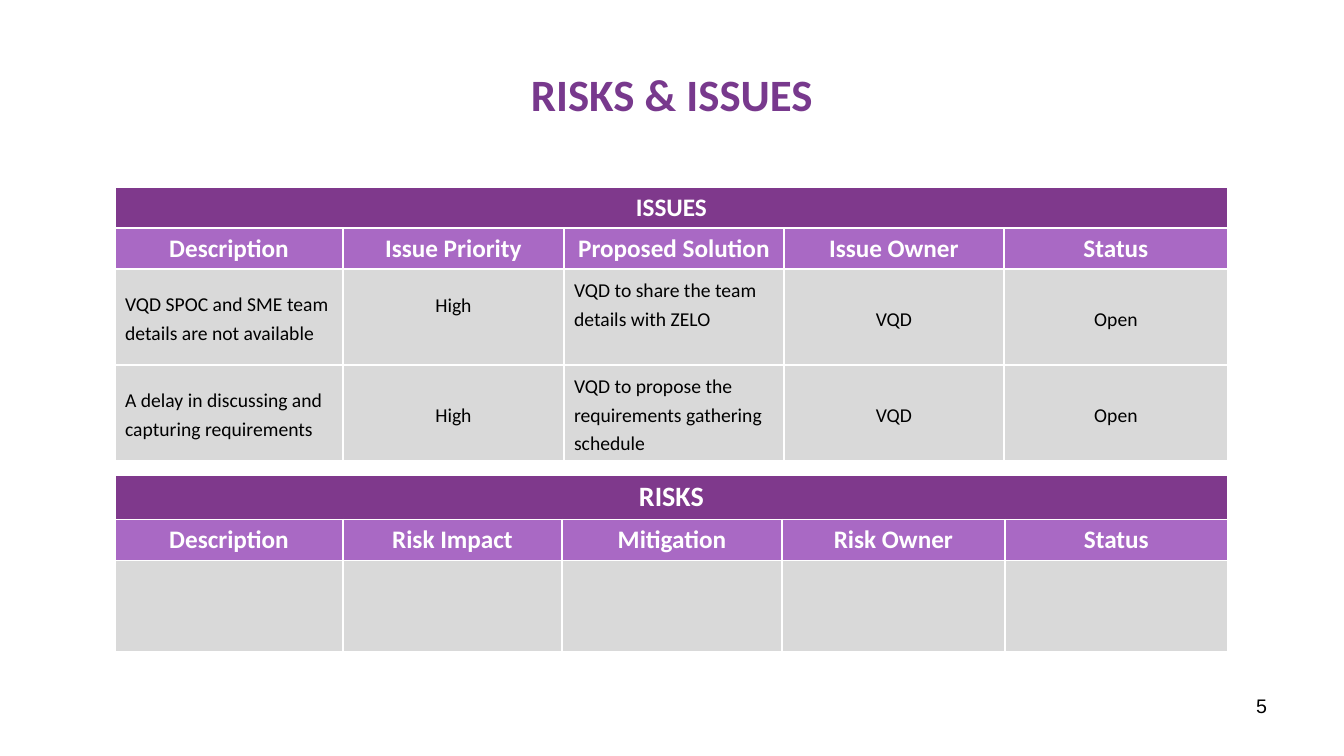
from dataclasses import dataclass

from lxml import etree
from pptx import Presentation, util as u
from pptx.dml.color import RGBColor
from pptx.enum import text
from pptx.oxml import ns

EMU_PER_PX = 9071
PURPLE, LILAC, GREY = "7F398C", "A969C4", "D9D9D9"
WHITE, BLACK, TITLE_COLOUR = "FFFFFF", "000000", "78398D"
LEFT, CENTRE, RIGHT = text.PP_ALIGN.LEFT, text.PP_ALIGN.CENTER, text.PP_ALIGN.RIGHT
BODY_ALIGNMENTS = [LEFT, CENTRE, LEFT, CENTRE, CENTRE]


@dataclass
class Register:
    """A titled table of issues or risks, with lengths in px."""

    heading: str
    heading_size: int
    top: int
    widths: list[int]
    heights: list[int]
    labels: list[str]
    entries: list[list[str]]
    raised_cells: tuple[tuple[int, int], ...] = ()


REGISTERS = [
    Register(
        "ISSUES", 18, 187, [228, 221, 220, 220, 224], [41, 41, 96, 96],
        ["Description", "Issue Priority", "Proposed Solution", "Issue Owner", "Status"],
        [
            ["VQD SPOC and SME team details are not available", "High",
             "VQD to share the team details with ZELO", "VQD", "Open"],
            ["A delay in discussing and capturing requirements", "High",
             "VQD to propose the requirements gathering schedule", "VQD", "Open"],
        ],
        raised_cells=((2, 1), (2, 2)),
    ),
    Register(
        "RISKS", 20, 475, [228, 219, 220, 223, 223], [44, 41, 91],
        ["Description", "Risk Impact", "Mitigation", "Risk Owner", "Status"],
        [[""] * 5],
    ),
]


def px(length: int) -> int:
    """Turn px into EMU."""
    return u.Emu(length * EMU_PER_PX)


def colour(value: str) -> RGBColor:
    """Turn a hex string into a colour."""
    return RGBColor.from_string(value)


def apply_format(target, values: dict) -> None:
    """Set each named attribute on the target."""
    for name, value in values.items():
        setattr(target, name, value)


def place(shape, left: int, top: int, width: int, height: int) -> None:
    """Move and size a shape."""
    apply_format(shape, {"left": px(left), "top": px(top),
                         "width": px(width), "height": px(height)})


def write(frame, words: str, size: int, hex_colour: str, alignment,
          bold: bool = False, font: str = "Calibri", spacing: float = 1.0) -> None:
    """Write one formatted paragraph into a text frame."""
    paragraph = frame.paragraphs[0]
    apply_format(paragraph, {"alignment": alignment, "line_spacing": spacing})
    run = paragraph.add_run()
    run.text = words
    apply_format(run.font, {"name": font, "size": u.Pt(size), "bold": bold})
    run.font.color.rgb = colour(hex_colour)


def style_cell(cell, fill: str) -> None:
    """Give a cell white borders and a solid fill."""
    properties = cell._tc.get_or_add_tcPr()
    for side in ("a:lnL", "a:lnR", "a:lnT", "a:lnB"):
        line = etree.SubElement(properties, ns.qn(side), w=str(u.Pt(1)))
        solid = etree.SubElement(line, ns.qn("a:solidFill"))
        etree.SubElement(solid, ns.qn("a:srgbClr"), val=WHITE)
    cell.fill.solid()
    cell.fill.fore_color.rgb = colour(fill)


def add_register(slide, register: Register) -> None:
    """Draw a register as a table."""
    rows = [[register.heading, "", "", "", ""], register.labels, *register.entries]
    table = slide.shapes.add_table(
        len(rows), len(register.widths), px(115), px(register.top),
        px(sum(register.widths)), px(sum(register.heights))).table
    for column, width in zip(table.columns, register.widths):
        column.width = px(width)
    for row, height in zip(table.rows, register.heights):
        row.height = px(height)
    table.cell(0, 0).merge(table.cell(0, len(register.widths) - 1))
    for row_index, row in enumerate(rows):
        for column_index, words in enumerate(row):
            cell = table.cell(row_index, column_index)
            style_cell(cell, (PURPLE, LILAC, GREY)[min(row_index, 2)])
            if row_index >= 2:
                cell.vertical_anchor = text.MSO_ANCHOR.MIDDLE
            if (row_index, column_index) in register.raised_cells:
                cell.margin_bottom = px(33)
            if words and row_index < 2:
                size = (register.heading_size, 18)[row_index]
                write(cell.text_frame, words, size, WHITE, CENTRE, bold=True)
            elif words:
                write(cell.text_frame, words, 14, BLACK,
                      BODY_ALIGNMENTS[column_index], spacing=1.2)


def main() -> None:
    """Build and save the risks and issues slide."""
    presentation = Presentation()
    apply_format(presentation, {"slide_width": px(1344), "slide_height": px(756)})
    slide = presentation.slides.add_slide(presentation.slide_layouts[5])
    title = slide.shapes.title
    place(title, 67, 31, 1210, 126)
    title.text_frame.vertical_anchor = text.MSO_ANCHOR.MIDDLE
    write(title.text_frame, "RISKS & ISSUES", 32, TITLE_COLOUR, CENTRE, bold=True)
    for register in REGISTERS:
        add_register(slide, register)
    page_number = slide.shapes.add_textbox(px(964), px(689), px(313), px(52))
    page_number.text_frame.word_wrap = True
    write(page_number.text_frame, "5", 14, BLACK, RIGHT, font="Arial")
    presentation.save("out.pptx")


if __name__ == "__main__":
    main()
